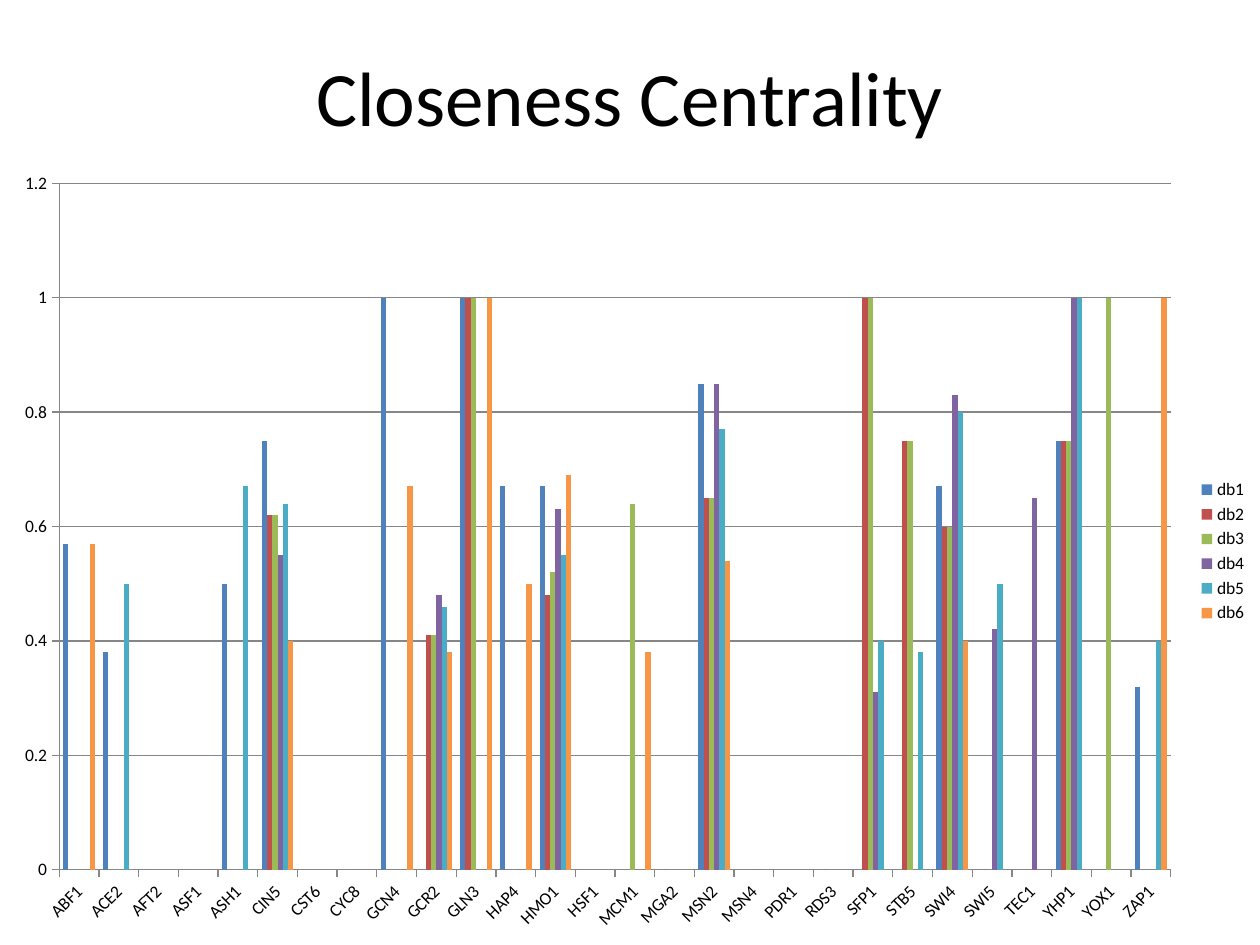
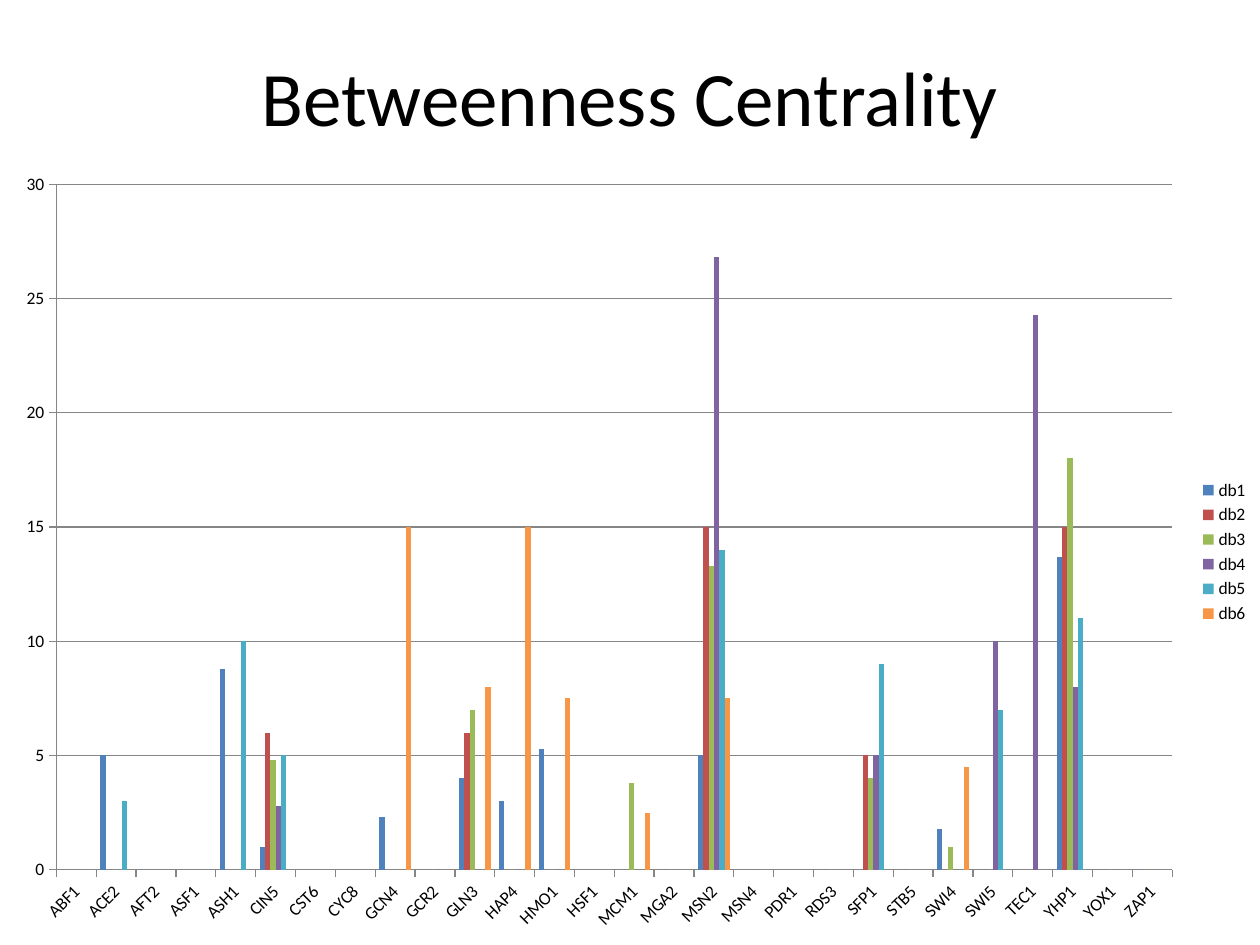
from pptx import Presentation
from pptx.chart.data import CategoryChartData
from pptx.dml.color import RGBColor
from pptx.enum.chart import XL_CHART_TYPE, XL_LEGEND_POSITION, XL_TICK_MARK
from pptx.enum.text import MSO_ANCHOR, PP_ALIGN
from pptx.util import Cm, Pt

COLUMN = XL_CHART_TYPE.COLUMN_CLUSTERED
RIGHT = XL_LEGEND_POSITION.RIGHT
OUTSIDE, NO_TICK = XL_TICK_MARK.OUTSIDE, XL_TICK_MARK.NONE
TOP, CENTER = MSO_ANCHOR.TOP, PP_ALIGN.CENTER

FONT = "Calibri"
TEXT_COLOR = "000000"
LINE_COLOR = "868686"
DATABASE_COLORS = {
    "db1": "4F81BD", "db2": "C0504D", "db3": "9BBB59",
    "db4": "8064A2", "db5": "4BACC6", "db6": "F79646",
}
GENES = (
    "ABF1 ACE2 AFT2 ASF1 ASH1 CIN5 CST6 CYC8 GCN4 GCR2 GLN3 HAP4 HMO1 HSF1 "
    "MCM1 MGA2 MSN2 MSN4 PDR1 RDS3 SFP1 STB5 SWI4 SWI5 TEC1 YHP1 YOX1 ZAP1"
).split()

CLOSENESS = {
    "db1": "0.57 0.38 0 0 0.5 0.75 - - 1 - 1 0.67 0.67 - - - 0.85 - - - 0 - 0.67 - - 0.75 0 0.32",
    "db2": "- - - - - 0.62 - - - 0.41 1 0 0.48 - - 0 0.65 - - 0 1 0.75 0.6 0 - 0.75 0 -",
    "db3": "- 0 - - - 0.62 - - - 0.41 1 0 0.52 - 0.64 0 0.65 - - 0 1 0.75 0.6 0 - 0.75 1 0",
    "db4": "- - - - - 0.55 - 0 - 0.48 0 0 0.63 - - - 0.85 0 - - 0.31 - 0.83 0.42 0.65 1 0 -",
    "db5": "- 0.5 - - 0.67 0.64 - - - 0.46 0 0 0.55 - - - 0.77 - - - 0.4 0.38 0.8 0.5 - 1 0 0.4",
    "db6": "0.57 0 - - - 0.4 0 - 0.67 0.38 1 0.5 0.69 0 0.38 0 0.54 0 - - - - 0.4 - - - - 1",
}
BETWEENNESS = {
    "db1": "0 5 0 0 8.8 1 - - 2.3 - 4 3 5.3 - - - 5 - - - 0 - 1.8 - - 13.7 0 0",
    "db2": "- - - - - 6 - - - 0 6 0 0 - - 0 15 - - 0 5 0 0 0 - 15 0 -",
    "db3": "- 0 - - - 4.8 - - - 0 7 0 0 - 3.8 0 13.3 - - 0 4 0 1 0 - 18 0 0",
    "db4": "- - - - - 2.8 - 0 - 0 0 0 0 - - - 26.8 0 - - 5 - 0 10 24.3 8 0 -",
    "db5": "- 3 - - 10 5 - - - 0 0 0 0 - - - 14 - - - 9 0 0 7 - 11 0 0",
    "db6": "0 0 - - - 0 0 - 15 0 8 15 7.5 0 2.5 0 7.5 0 - - - - 4.5 - - - - 0",
}
SLIDES = [
    ("Closeness Centrality", CLOSENESS, 1.2, 0.2, (0, 3.18, 25.4, 15.87)),
    ("Betweenness Centrality", BETWEENNESS, 30, 5, (0.03, 3.2, 25.4, 15.85)),
]


def color(hex_string):
    return RGBColor.from_string(hex_string)


def style_font(font, size):
    font.name = FONT
    font.size = Pt(size)
    font.color.rgb = color(TEXT_COLOR)


presentation = Presentation()
presentation.slide_width = Cm(25.4)
presentation.slide_height = Cm(19.05)
blank_layout = presentation.slide_layouts[6]

for title, measures, axis_maximum, axis_step, chart_box in SLIDES:
    slide = presentation.slides.add_slide(blank_layout)

    chart_data = CategoryChartData()
    chart_data.categories = GENES
    for database, values in measures.items():
        chart_data.add_series(
            database, [None if value == "-" else float(value) for value in values.split()]
        )
    chart = slide.shapes.add_chart(COLUMN, *map(Cm, chart_box), chart_data).chart
    style_font(chart.font, 10)
    chart.has_title = False
    chart.has_legend = True
    chart.legend.position = RIGHT
    chart.legend.include_in_layout = False

    plot = chart.plots[0]
    plot.gap_width = 150
    plot.overlap = 0
    plot.vary_by_categories = False
    for series in plot.series:
        series.format.fill.solid()
        series.format.fill.fore_color.rgb = color(DATABASE_COLORS[series.name])

    gene_axis, value_axis = chart.category_axis, chart.value_axis
    value_axis.minimum_scale = 0
    value_axis.maximum_scale = axis_maximum
    value_axis.major_unit = axis_step
    value_axis.has_major_gridlines = True
    for axis in (gene_axis, value_axis):
        axis.major_tick_mark = OUTSIDE
        axis.minor_tick_mark = NO_TICK
        style_font(axis.tick_labels.font, 10)
    for line in (gene_axis.format.line, value_axis.format.line, value_axis.major_gridlines.format.line):
        line.color.rgb = color(LINE_COLOR)
        line.width = Pt(0.75)
    for body in chart.element.xpath(".//c:catAx/c:txPr/a:bodyPr"):
        body.set("rot", "-2700000")

    text_frame = slide.shapes.add_textbox(Cm(1.27), Cm(0.76), Cm(22.86), Cm(3.18)).text_frame
    text_frame.word_wrap = True
    text_frame.vertical_anchor = TOP
    text_frame.margin_top = Cm(0.23)
    text_frame.text = title
    paragraph = text_frame.paragraphs[0]
    paragraph.alignment = CENTER
    style_font(paragraph.runs[0].font, 44)

presentation.save("out.pptx")
